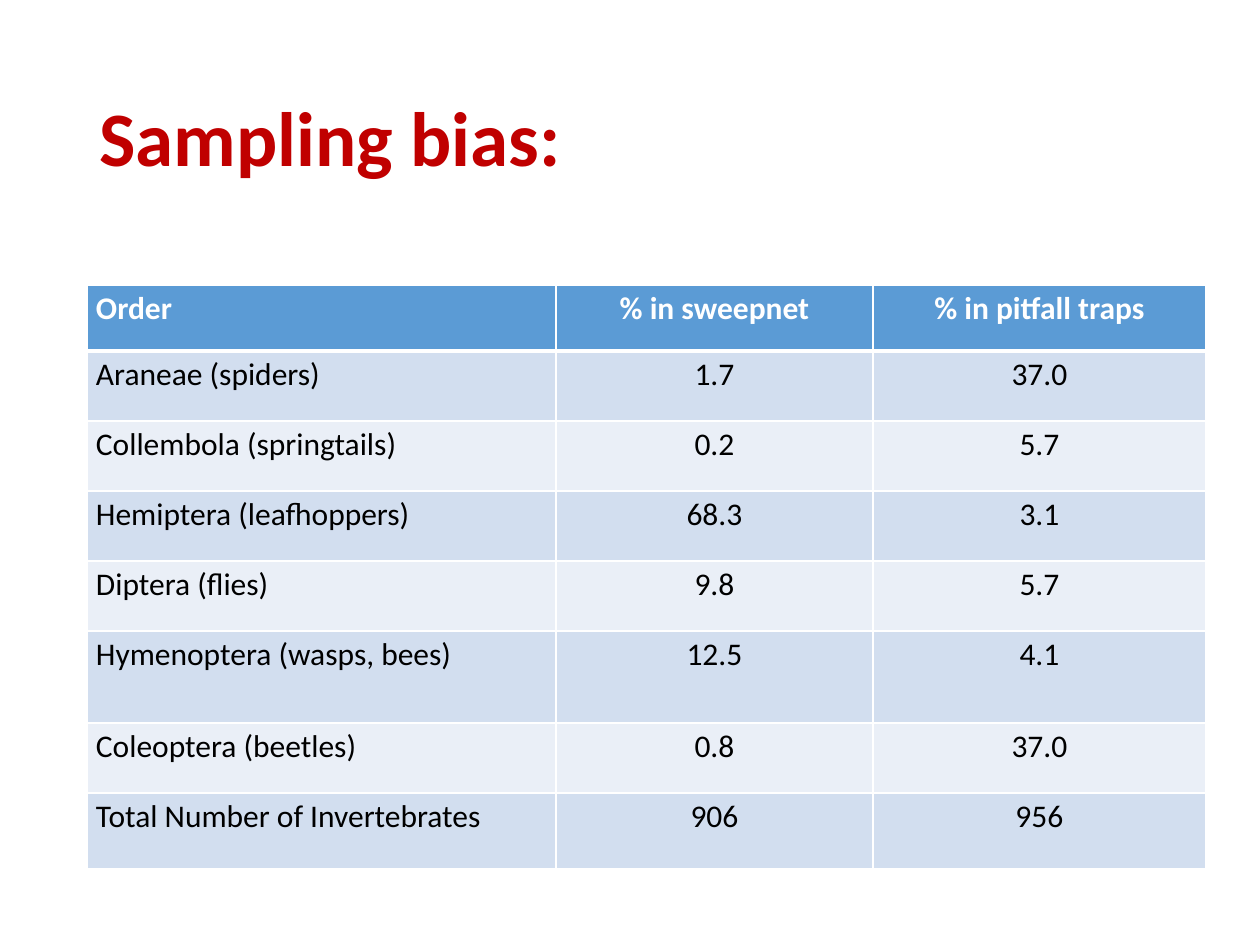
from lxml import etree
from pptx import Presentation
from pptx.dml.color import RGBColor
from pptx.enum.text import MSO_ANCHOR as Anchor, PP_ALIGN as Align
from pptx.oxml.ns import qn
from pptx.util import Pt

PX = 914400 // 126
FONT = "Calibri"
WHITE, BLACK, RED = "FFFFFF", "000000", "C00000"
HEADER_FILL = "5B9BD5"
BAND_FILLS = ("EAEFF7", "D2DEEF")

COLUMN_WIDTHS = (469, 317, 333)
ROW_HEIGHTS = (66, 70, 70, 70, 70, 92, 70, 76)
CATCHES = (
    ("Order", "% in sweepnet", "% in pitfall traps"),
    ("Araneae (spiders)", "1.7", "37.0"),
    ("Collembola (springtails)", "0.2", "5.7"),
    ("Hemiptera (leafhoppers)", "68.3", "3.1"),
    ("Diptera (flies)", "9.8", "5.7"),
    ("Hymenoptera (wasps, bees)", "12.5", "4.1"),
    ("Coleoptera (beetles)", "0.8", "37.0"),
    ("Total Number of Invertebrates", "906", "956"),
)


def px(length):
    return length * PX


def rgb(value):
    return RGBColor.from_string(value)


def style_text(paragraph, size, color, bold, align=Align.LEFT):
    paragraph.alignment = align
    font = paragraph.font
    font.name, font.size, font.bold = FONT, Pt(size), bold
    font.color.rgb = rgb(color)


def add_title(slide, text):
    frame = slide.shapes.add_textbox(px(87), px(50), px(1086), px(183)).text_frame
    frame.word_wrap = True
    frame.vertical_anchor = Anchor.MIDDLE
    heading = frame.paragraphs[0]
    heading.text = text
    heading.line_spacing = 0.9
    style_text(heading, 44, RED, True)


def set_borders(cell, **widths):
    """Draw white cell borders, with widths in points keyed L, R, T and B."""
    properties = cell._tc.get_or_add_tcPr()
    for side, width in widths.items():
        line = etree.SubElement(properties, qn(f"a:ln{side}"), w=str(Pt(width)))
        fill = etree.SubElement(line, qn("a:solidFill"))
        etree.SubElement(fill, qn("a:srgbClr"), val=WHITE)


def fill_cell(cell, text, row, column):
    is_header = row == 0
    cell.text = text
    cell.margin_left = cell.margin_right = px(9)
    cell.margin_top = cell.margin_bottom = px(5)
    set_borders(cell, L=1, R=1, T=3 if row == 1 else 1, B=3 if is_header else 1)
    cell.fill.solid()
    cell.fill.fore_color.rgb = rgb(HEADER_FILL if is_header else BAND_FILLS[row % 2])
    style_text(cell.text_frame.paragraphs[0], 18, WHITE if is_header else BLACK,
               is_header, Align.CENTER if column else Align.LEFT)


def add_catch_table(slide):
    table = slide.shapes.add_table(
        len(CATCHES), len(COLUMN_WIDTHS), px(87), px(285),
        px(sum(COLUMN_WIDTHS)), px(sum(ROW_HEIGHTS))).table
    for column, width in zip(table.columns, COLUMN_WIDTHS):
        column.width = px(width)
    for row, height in zip(table.rows, ROW_HEIGHTS):
        row.height = px(height)
    for r, values in enumerate(CATCHES):
        for c, value in enumerate(values):
            fill_cell(table.cell(r, c), value, r, c)


def main():
    deck = Presentation()
    deck.slide_width, deck.slide_height = px(1260), px(945)
    slide = deck.slides.add_slide(deck.slide_layouts[6])
    add_title(slide, "Sampling bias:")
    add_catch_table(slide)
    deck.save("out.pptx")


if __name__ == "__main__":
    main()
